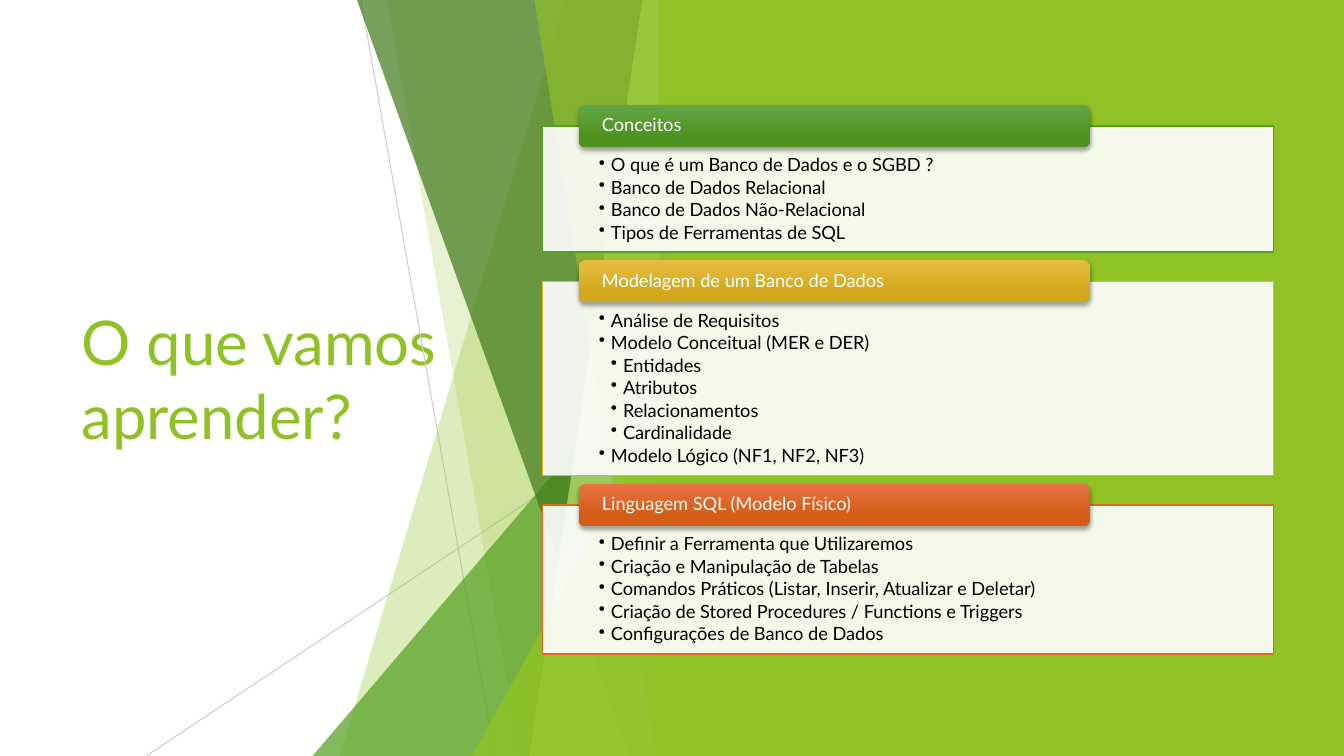
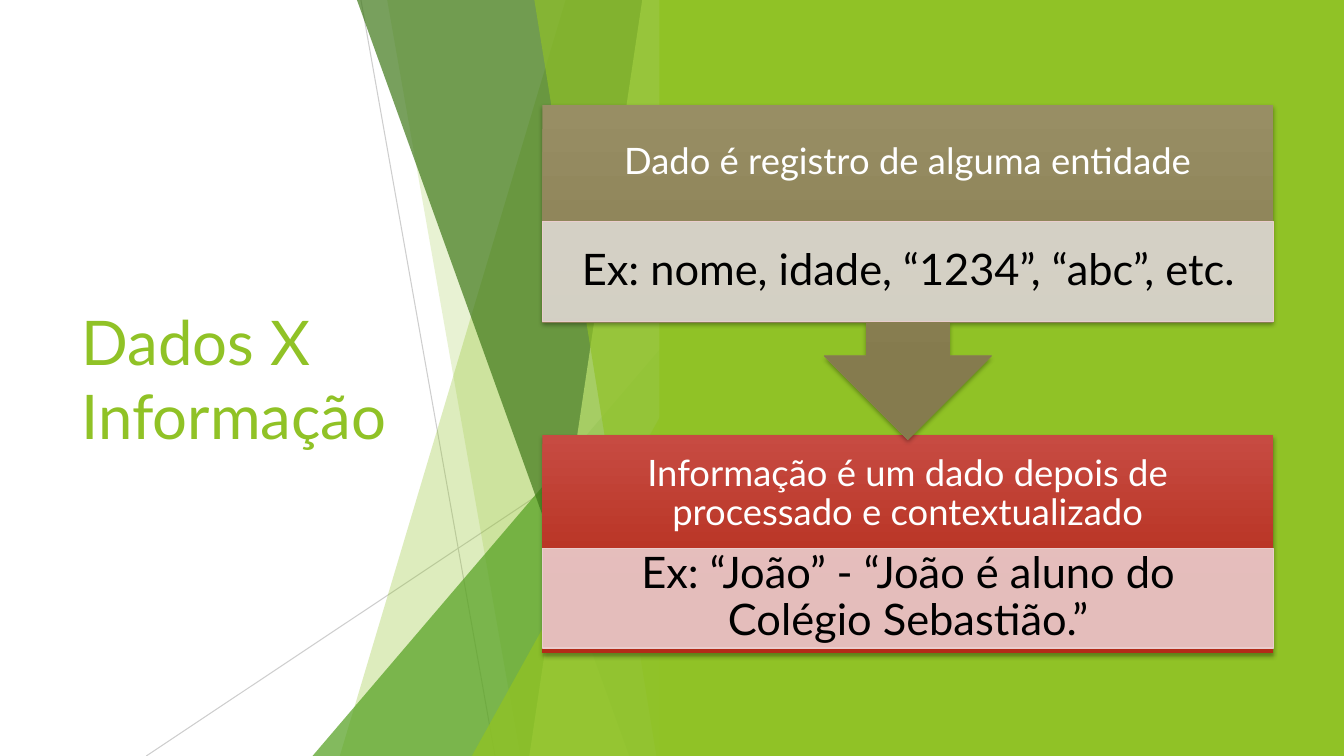
"""Build two database course slides: the topic list, and data versus information."""
from lxml import etree
from pptx import Presentation
from pptx.dml.color import RGBColor
from pptx.enum.shapes import MSO_CONNECTOR, MSO_SHAPE
from pptx.enum.text import MSO_ANCHOR, MSO_AUTO_SIZE, PP_ALIGN
from pptx.oxml.ns import qn
from pptx.util import Inches, Pt

RECT, ROUNDED = MSO_SHAPE.RECTANGLE, MSO_SHAPE.ROUNDED_RECTANGLE
TRIANGLE, CALLOUT = MSO_SHAPE.ISOSCELES_TRIANGLE, MSO_SHAPE.DOWN_ARROW_CALLOUT
STRAIGHT = MSO_CONNECTOR.STRAIGHT
TOP, MIDDLE = MSO_ANCHOR.TOP, MSO_ANCHOR.MIDDLE
LEFT, CENTER = PP_ALIGN.LEFT, PP_ALIGN.CENTER
NO_FIT = MSO_AUTO_SIZE.NONE

FONT = "Lato"
WHITE = RGBColor(0xFF, 0xFF, 0xFF)
BLACK = RGBColor(0x00, 0x00, 0x00)
LIME = RGBColor(0x90, 0xC2, 0x26)
PALE_LIME = RGBColor(0xC0, 0xE4, 0x74)
GREEN = RGBColor(0x54, 0xA0, 0x21)
DARK_GREEN = RGBColor(0x3F, 0x78, 0x19)
GOLD = RGBColor(0xE6, 0xB9, 0x1E)
ORANGE = RGBColor(0xE7, 0x66, 0x18)
GRAY = RGBColor(0xCE, 0xCE, 0xCE)
PINK = RGBColor(0xEA, 0xCD, 0xCD)
BEIGE = RGBColor(0xDC, 0xD9, 0xD1)
GREEN_FADE = [RGBColor(0x63, 0xA5, 0x45), RGBColor(0x4D, 0x92, 0x1E)]
GOLD_FADE = [RGBColor(0xE7, 0xBC, 0x43), RGBColor(0xD2, 0xA9, 0x1B)]
ORANGE_FADE = [RGBColor(0xE8, 0x72, 0x42), RGBColor(0xD3, 0x5D, 0x16)]
RED_FADE = [RGBColor(0xC7, 0x4B, 0x42), RGBColor(0xB3, 0x2B, 0x18)]
OLIVE_FADE = [RGBColor(0x98, 0x8E, 0x64), RGBColor(0x85, 0x7B, 0x4E)]

SLIDE_W, SLIDE_H = 13.33, 7.5
EDGE = 6.66
PANEL_X, PANEL_W = 5.38, 7.25

TITLES = ["O que vamos aprender?", "Dados X Informação"]
RULES = [(3.58, 0, 4.91, SLIDE_H), (EDGE, 4.03, 1.45, SLIDE_H)]
SHARDS = [
    ("strip", 5.61, 3.37, LIME, 30),
    ("strip", 3.84, 5.16, LIME, 20),
    ("wedge", 3.33, 3.1, GREEN, 72),
    ("strip", 3.54, 6.24, DARK_GREEN, 70),
    ("strip", 6.37, 5.25, PALE_LIME, 70),
    ("strip", 5.3, 6.51, LIME, 65),
    ("wedge", 3.93, 4.68, LIME, 80),
]
TOPICS = [
    ("Conceitos", 1.25, GREEN, GREEN_FADE, [
        (1, "O que é um Banco de Dados e o SGBD ?"),
        (1, "Banco de Dados Relacional"),
        (1, "Banco de Dados Não-Relacional"),
        (1, "Tipos de Ferramentas de SQL"),
    ]),
    ("Modelagem de um Banco de Dados", 1.93, GOLD, GOLD_FADE, [
        (1, "Análise de Requisitos"),
        (1, "Modelo Conceitual (MER e DER)"),
        (2, "Entidades"),
        (2, "Atributos"),
        (2, "Relacionamentos"),
        (2, "Cardinalidade"),
        (1, "Modelo Lógico (NF1, NF2, NF3)"),
    ]),
    ("Linguagem SQL (Modelo Físico)", 1.48, ORANGE, ORANGE_FADE, [
        (1, "Definir a Ferramenta que Utilizaremos"),
        (1, "Criação e Manipulação de Tabelas"),
        (1, "Comandos Práticos (Listar, Inserir, Atualizar e Deletar)"),
        (1, "Criação de Stored Procedures / Functions e Triggers"),
        (1, "Configurações de Banco de Dados"),
    ]),
]
STEPS = [
    (RECT, 4.32, 2.16, RED_FADE,
     "Informação é um dado depois de processado e contextualizado",
     5.44, PINK, "Ex: “João” - “João é aluno do Colégio Sebastião.”"),
    (CALLOUT, 1.04, 3.32, OLIVE_FADE, "Dado é registro de alguma entidade",
     2.2, BEIGE, "Ex: nome, idade, “1234”, “abc”, etc."),
]


def paint(sp, fill, opacity=100, line=None):
    """Give a flat fill, or a shadowed gradient when fill is a list of colours."""
    sp.shadow.inherit = False
    props = sp._element.spPr
    if isinstance(fill, list):
        sp.fill.gradient()
        sp.fill.gradient_angle = 270
        for stop, color, position in zip(sp.fill.gradient_stops, fill, (0, 0.78)):
            stop.color.rgb = color
            stop.position = position
        shadow = etree.SubElement(props.find(qn("a:effectLst")), qn("a:outerShdw"),
                                  blurRad=str(Pt(3)), dist=str(Pt(2)), dir="5400000")
        color = etree.SubElement(shadow, qn("a:srgbClr"), val="000000")
        etree.SubElement(color, qn("a:alpha"), val="35000")
    else:
        sp.fill.solid()
        sp.fill.fore_color.rgb = fill
        if opacity < 100:
            color = props.find(qn("a:solidFill"))[0]
            etree.SubElement(color, qn("a:alpha"), val=str(opacity * 1000))
    if line is None:
        sp.line.fill.background()
    else:
        sp.line.color.rgb = line
        sp.line.width = Pt(1)


def write(sp, text, size, color, align, anchor, insets, spacing=0.9):
    """Set the text of a shape and format its paragraphs alike."""
    tf = sp.text_frame
    tf.text = text
    tf.word_wrap = True
    tf.auto_size = NO_FIT
    tf.vertical_anchor = anchor
    tf.margin_left, tf.margin_top, tf.margin_right, tf.margin_bottom = map(Inches, insets)
    for p in tf.paragraphs:
        p.alignment = align
        p.line_spacing = spacing
        for r in p.runs:
            r.font.name = FONT
            r.font.size = Pt(size)
            r.font.color.rgb = color


prs = Presentation()
prs.slide_width, prs.slide_height = Inches(SLIDE_W), Inches(SLIDE_H)

for heading in TITLES:
    slide = prs.slides.add_slide(prs.slide_layouts[5])
    title = slide.shapes.title
    title.left, title.top = Inches(0.71), Inches(1.51)
    title.width, title.height = Inches(3.88), Inches(4.48)
    write(title, heading, 44, LIME, LEFT, MIDDLE, (0.1, 0.05, 0.1, 0.05), 1.0)

    for ends in RULES:
        rule = slide.shapes.add_connector(STRAIGHT, *map(Inches, ends))
        rule.line.color.rgb = GRAY
        rule.line.width = Pt(0.75)
        etree.SubElement(rule._element.spPr, qn("a:effectLst"))

    for kind, start, foot, color, opacity in SHARDS:
        if kind == "strip":
            outline = slide.shapes.build_freeform(Inches(start), 0)
            outline.add_line_segments([
                (Inches(EDGE), 0),
                (Inches(EDGE), Inches(SLIDE_H)),
                (Inches(foot), Inches(SLIDE_H)),
            ])
            shard = outline.convert_to_shape()
        else:
            shard = slide.shapes.add_shape(TRIANGLE, Inches(foot), Inches(start),
                                           Inches(EDGE - foot), Inches(SLIDE_H - start))
            shard.adjustments[0] = 1
        paint(shard, color, opacity)

    backdrop = slide.shapes.add_shape(RECT, Inches(6.54), 0,
                                      Inches(SLIDE_W - 6.54), Inches(SLIDE_H))
    paint(backdrop, LIME)

topics_slide, steps_slide = prs.slides

top = 1.25
for name, height, color, fade, items in TOPICS:
    panel = topics_slide.shapes.add_shape(RECT, Inches(PANEL_X), Inches(top),
                                          Inches(PANEL_W), Inches(height))
    paint(panel, WHITE, 90, color)
    write(panel, "\n".join(text for level, text in items), 13, BLACK, LEFT, TOP,
          (0.56, 0.3, 0.56, 0.1))
    for p, (level, text) in zip(panel.text_frame.paragraphs, items):
        p.space_after = Pt(2)
        props = p._p.get_or_add_pPr()
        props.set("marL", str(Inches(0.12 * level)))
        props.set("indent", str(-Inches(0.12)))
        etree.SubElement(props, qn("a:buChar"), char="•")

    tab = topics_slide.shapes.add_shape(ROUNDED, Inches(5.74), Inches(top - 0.21),
                                        Inches(5.07), Inches(0.42))
    paint(tab, fade)
    write(tab, name, 13, WHITE, LEFT, MIDDLE, (0.21, 0, 0.21, 0))
    top += height + 0.29

for kind, top, height, fade, text, sample_top, color, sample_text in STEPS:
    block = steps_slide.shapes.add_shape(kind, Inches(PANEL_X), Inches(top),
                                         Inches(PANEL_W), Inches(height))
    paint(block, fade)
    write(block, text, 26, WHITE, CENTER, MIDDLE, (0.2, 0.1, 0.2, 1.1))

    sample = steps_slide.shapes.add_shape(RECT, Inches(PANEL_X), Inches(sample_top),
                                          Inches(PANEL_W), Inches(0.99))
    paint(sample, color, 90, PINK)
    write(sample, sample_text, 31, BLACK, CENTER, MIDDLE, (0.24, 0, 0.24, 0))

prs.save("out.pptx")
